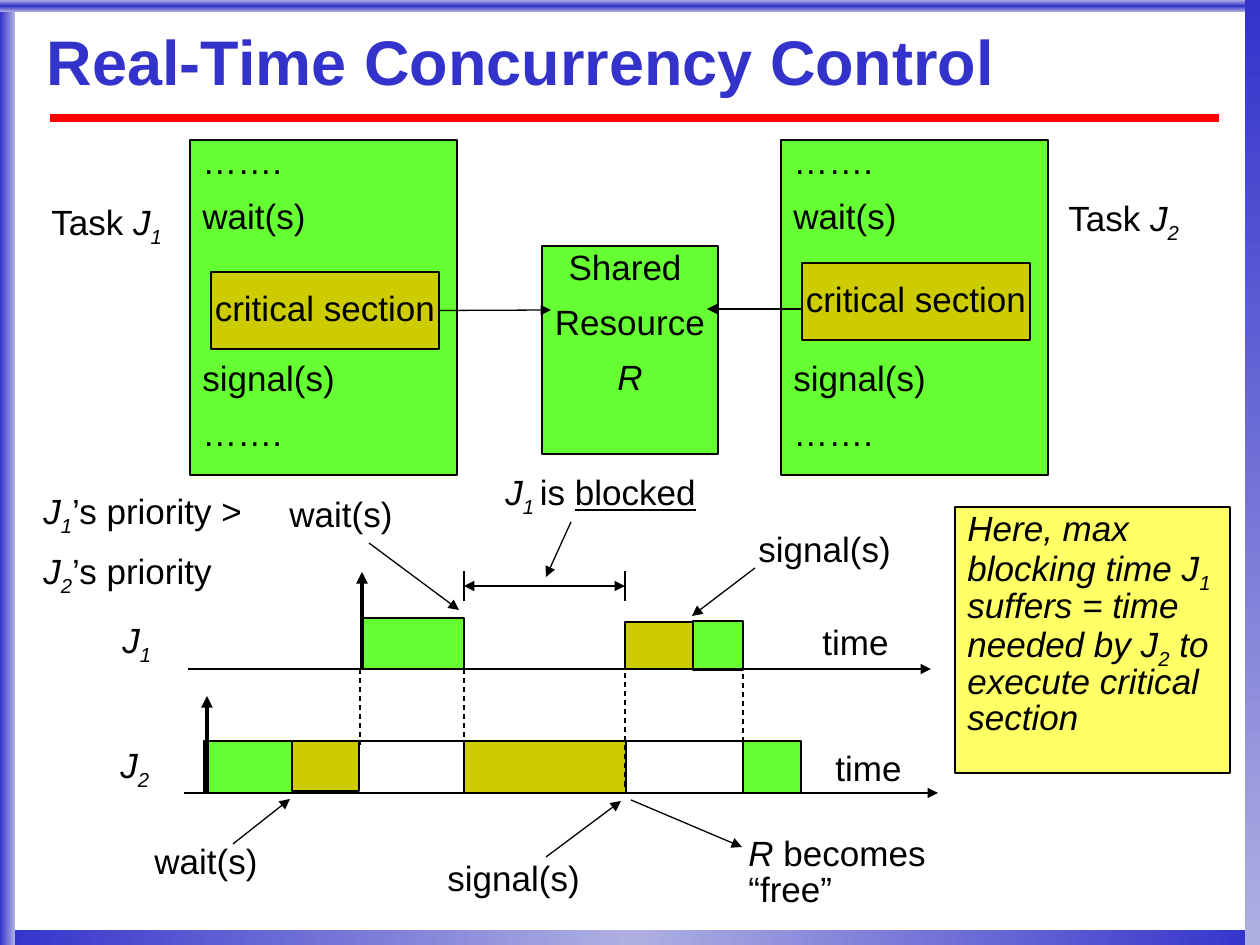
from dataclasses import dataclass

from lxml import etree
from pptx import Presentation
from pptx.dml.color import RGBColor
from pptx.enum.dml import MSO_LINE
from pptx.enum.shapes import MSO_CONNECTOR, MSO_SHAPE
from pptx.enum.text import MSO_ANCHOR, MSO_AUTO_SIZE, PP_ALIGN
from pptx.oxml import parse_xml
from pptx.oxml.ns import nsdecls, qn
from pptx.util import Emu, Pt

STRAIGHT = MSO_CONNECTOR.STRAIGHT
RECTANGLE = MSO_SHAPE.RECTANGLE
DASH = MSO_LINE.DASH
LEFT, CENTER = PP_ALIGN.LEFT, PP_ALIGN.CENTER
TOP, MIDDLE = MSO_ANCHOR.TOP, MSO_ANCHOR.MIDDLE
NO_AUTOFIT = MSO_AUTO_SIZE.NONE
RIGHT_SIDE = 3
PX_PER_INCH = 126
TITLE_ONLY = 5


@dataclass(frozen=True)
class Theme:
    font: str = "Arial"
    title_size: int = 36
    body_size: int = 20
    blue: str = "3333CC"
    pale_blue: str = "AFAFE2"
    red: str = "FF0000"
    black: str = "000000"
    shadow: str = "B2B2B2"
    green: str = "66FF33"
    olive: str = "CCCC00"
    yellow: str = "FFFF66"
    thin: float = 0.75
    thick: float = 2.25
    rule: float = 4.5


THEME = Theme()


def px(value):
    return Emu(round(value * 914400 / PX_PER_INCH))


def task_name(number):
    return [("J", "i"), (str(number), "is")]


def write_text(frame, paragraphs, size=THEME.body_size, color=THEME.black,
               bold=False, align=LEFT, anchor=TOP, wrap=False, spacing=0.85, gaps=None):
    """Each paragraph is a list of (text, flags): i italic, s subscript, u underline."""
    frame.auto_size = NO_AUTOFIT
    frame.word_wrap = wrap
    frame.vertical_anchor = anchor
    for index, runs in enumerate(paragraphs):
        paragraph = frame.add_paragraph() if index else frame.paragraphs[0]
        paragraph.alignment = align
        paragraph.line_spacing = spacing
        paragraph.space_before = Pt(gaps[index] if gaps else 11 if index else 0)
        for text, flags in runs:
            run = paragraph.add_run()
            run.text = text
            font = run.font
            font.name, font.size, font.bold = THEME.font, Pt(size), bold
            font.color.rgb = RGBColor.from_string(color)
            font.italic = "i" in flags
            font.underline = "u" in flags
            if "s" in flags:
                run._r.get_or_add_rPr().set("baseline", "-25000")


def add_box(slide, left, top, width, height, fill=None):
    shape = slide.shapes.add_shape(RECTANGLE, px(left), px(top), px(width), px(height))
    shape.shadow.inherit = False
    if fill:
        shape.fill.solid()
        shape.fill.fore_color.rgb = RGBColor.from_string(fill)
    else:
        shape.fill.background()
    shape.line.color.rgb = RGBColor.from_string(THEME.black)
    shape.line.width = Pt(THEME.thin)
    return shape


def add_label(slide, left, top, width, height, paragraphs, **text_format):
    label = slide.shapes.add_textbox(px(left), px(top), px(width), px(height))
    write_text(label.text_frame, paragraphs, **text_format)


def add_line(slide, start, end, color=THEME.black, width=THEME.thin,
             dash=None, head=False, tail=False):
    line = slide.shapes.add_connector(STRAIGHT, *map(px, start + end))
    line.line.color.rgb = RGBColor.from_string(color)
    line.line.width = Pt(width)
    if dash:
        line.line.dash_style = dash
    for tag, wanted in (("a:headEnd", head), ("a:tailEnd", tail)):
        if wanted:
            etree.SubElement(line.line._get_or_add_ln(), qn(tag), type="triangle")
    etree.SubElement(line._element.spPr, qn("a:effectLst"))
    return line


def add_gradient_bar(slide, bounds, colors, angle):
    bar = add_box(slide, *bounds, fill=THEME.blue)
    bar.line.fill.background()
    last = len(colors) - 1
    stops = "".join(
        f'<a:gs pos="{100000 * index // last}"><a:srgbClr val="{color}"/></a:gs>'
        for index, color in enumerate(colors))
    solid = bar._element.spPr.find(qn("a:solidFill"))
    solid.getparent().replace(solid, parse_xml(
        f'<a:gradFill {nsdecls("a")} rotWithShape="1"><a:gsLst>{stops}</a:gsLst>'
        f'<a:lin ang="{angle * 60000}" scaled="0"/></a:gradFill>'))


def add_frame(slide):
    blue, pale = THEME.blue, THEME.pale_blue
    add_gradient_bar(slide, (0, 930, 1260, 15), (blue, pale, blue), 0)
    add_gradient_bar(slide, (0, 0, 15, 945), (blue, pale), 0)
    add_gradient_bar(slide, (0, 0, 1260, 12), (pale, blue, pale), 90)
    add_gradient_bar(slide, (1245, 0, 15, 945), (blue, pale), 90)
    add_line(slide, (50, 118), (1219, 118), color=THEME.red, width=THEME.rule)


def add_title(slide, text):
    title = slide.shapes.title
    title.left, title.top, title.width, title.height = map(px, (47, 19, 1172, 93))
    frame = title.text_frame
    frame.margin_left = frame.margin_right = frame.margin_top = frame.margin_bottom = 0
    write_text(frame, [[(text, "")]], size=THEME.title_size, color=THEME.blue,
               bold=True, anchor=MIDDLE, wrap=True, spacing=0.87)
    properties = frame.paragraphs[0].runs[0]._r.get_or_add_rPr()
    properties.find(qn("a:solidFill")).addnext(parse_xml(
        f'<a:effectLst {nsdecls("a")}><a:outerShdw dist="35921" dir="2700000">'
        f'<a:srgbClr val="{THEME.shadow}"/></a:outerShdw></a:effectLst>'))


def add_critical_section(slide, left, top):
    section = add_box(slide, left, top, 228, 77, THEME.olive)
    write_text(section.text_frame, [[("critical section", "")]], align=CENTER, anchor=MIDDLE)
    return section


def add_resource_sharing(slide):
    # Code of the two tasks, with room for the critical section
    code = [[(text, "")] for text in ("…….", "wait(s)", "signal(s)", "…….")]
    for number, box_left, label_left, label_top in ((1, 190, 39, 197), (2, 781, 1056, 193)):
        box = add_box(slide, box_left, 140, 267, 335, THEME.green)
        write_text(box.text_frame, code, wrap=True, gaps=(0, 11, 72, 11))
        add_label(slide, label_left, label_top, 141, 82,
                  [[("Task ", ""), *task_name(number)]])

    # Shared resource and the accesses to it
    resource = add_box(slide, 542, 246, 176, 208, THEME.green)
    write_text(resource.text_frame,
               [[("Shared ", "")], [("Resource", "")], [("R", "i")]], align=CENTER)
    add_line(slide, (806, 309), (707, 309), tail=True)
    add_critical_section(slide, 802, 263)
    first_section = add_critical_section(slide, 211, 272)
    access = add_line(slide, (439, 310), (551, 310), tail=True)
    access.begin_connect(first_section, RIGHT_SIDE)


def add_timeline(slide):
    # Execution intervals
    green, olive = THEME.green, THEME.olive
    for left, top, width, height, fill in (
            (204, 741, 539, 52, None),
            (206, 741, 87, 52, green), (292, 741, 67, 50, olive),
            (464, 741, 162, 52, olive), (743, 741, 58, 52, green),
            (362, 618, 102, 51, green), (693, 621, 50, 49, green),
            (625, 622, 68, 47, olive)):
        add_box(slide, left, top, width, height, fill)

    # Time axes and task arrivals
    for start, end in (((184, 793), (938, 793)), ((188, 669), (931, 669))):
        add_line(slide, start, end, tail=True)
    for x, bottom in ((207, 794), (362, 670)):
        add_line(slide, (x, bottom), (x, bottom - 98), width=THEME.thick, tail=True)

    # Instants that the two timelines have in common
    for x, top, bottom in ((360, 669, 745), (464, 669, 745), (625, 664, 790), (743, 665, 742)):
        add_line(slide, (x, top), (x, bottom), dash=DASH)

    # Blocking interval
    for x in (464, 625):
        add_line(slide, (x, 601), (x, 571))
    add_line(slide, (464, 586), (625, 586), head=True, tail=True)

    # Pointers from labels to events
    for start, end in (((233, 844), (290, 799)), ((369, 543), (459, 610)),
                       ((546, 857), (621, 801)), ((755, 568), (692, 616)),
                       ((571, 522), (546, 577)), ((631, 800), (742, 847))):
        add_line(slide, start, end, tail=True)

    # Labels
    for left, top, width, runs in (
            (108, 740, 66, task_name(2)), (110, 615, 66, task_name(1)),
            (142, 840, 129, [("wait(s)", "")]), (277, 493, 129, [("wait(s)", "")]),
            (435, 857, 158, [("signal(s)", "")]), (746, 528, 158, [("signal(s)", "")]),
            (810, 621, 92, [("time", "")]), (823, 747, 92, [("time", "")])):
        add_label(slide, left, top, width, 54, [runs])
    add_label(slide, 493, 467, 275, 54,
              [[("J", "i"), ("1 ", "is"), ("is ", ""), ("blocked", "u")]], wrap=True)
    add_label(slide, 736, 832, 282, 97, [[("R", "i"), (" becomes “free”", "")]], wrap=True)


def add_remarks(slide):
    add_label(slide, 31, 486, 267, 97,
              [[*task_name(1), ("’s priority >", "")],
               [*task_name(2), ("’s priority", "")]], wrap=True)
    note = add_box(slide, 955, 507, 275, 266, THEME.yellow)
    write_text(note.text_frame, [[
        ("Here, max blocking time J", "i"), ("1 ", "is"),
        ("suffers = time needed by J", "i"), ("2", "is"),
        (" to execute critical section", "i")]], wrap=True)


def main():
    presentation = Presentation()
    presentation.slide_width, presentation.slide_height = px(1260), px(945)
    slide = presentation.slides.add_slide(presentation.slide_layouts[TITLE_ONLY])
    add_frame(slide)
    add_title(slide, "Real-Time Concurrency Control")
    add_resource_sharing(slide)
    add_timeline(slide)
    add_remarks(slide)
    presentation.save("out.pptx")


if __name__ == "__main__":
    main()
